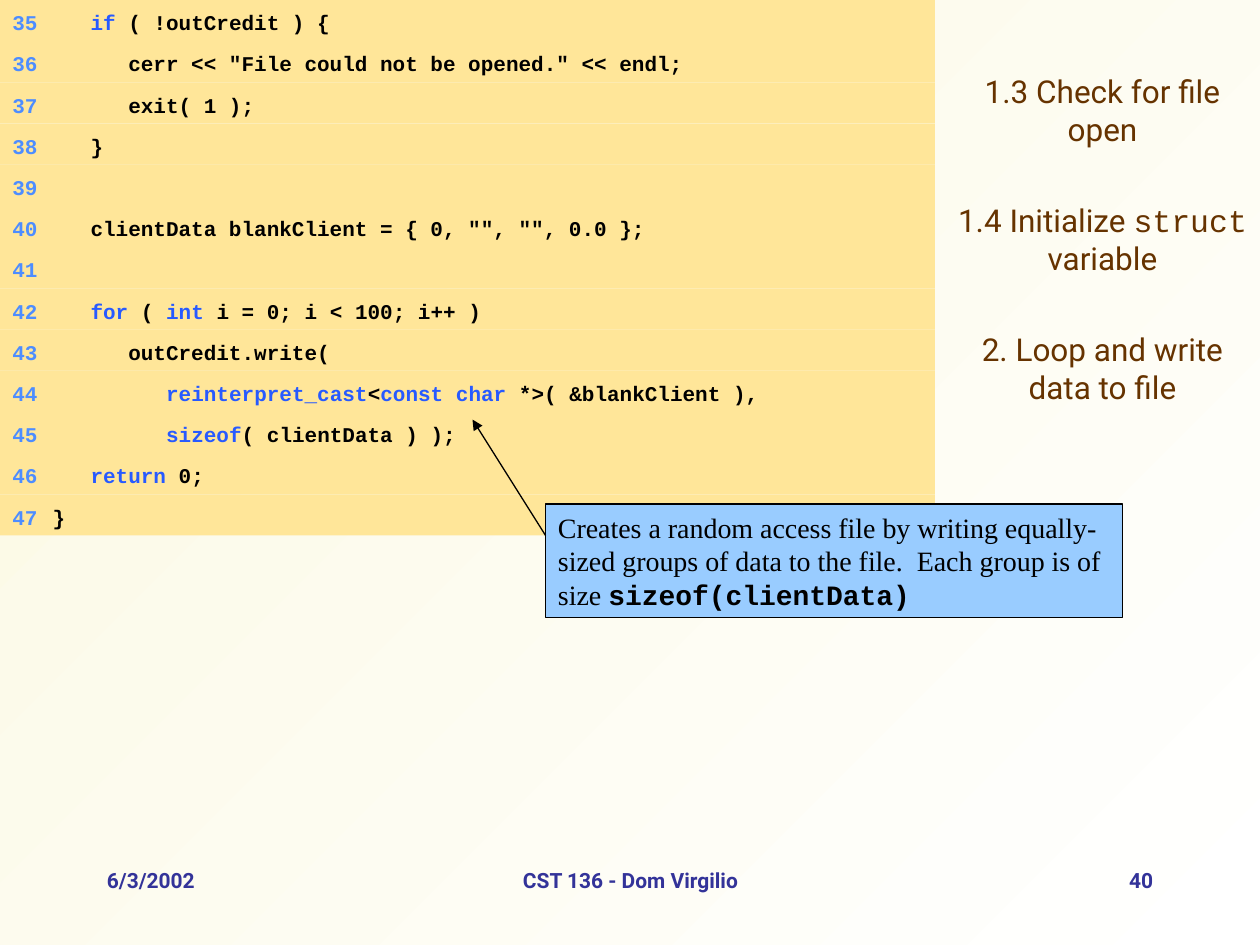
from pptx import Presentation, util as u
from pptx.dml.color import RGBColor
from pptx.enum import shapes, text
from pptx.oxml.ns import qn
from lxml import etree

MONO, SANS, SERIF = "Courier New", "Roboto", "Times New Roman"
AL = text.PP_ALIGN


def hue(code):
    return RGBColor.from_string(code)


def add_run(para, words, face, size, code, bold=False):
    run = para.add_run()
    run.text = words
    run.font.name, run.font.size, run.font.bold = face, u.Pt(size), bold
    run.font.color.rgb = hue(code)


deck = Presentation()
deck.slide_width, deck.slide_height = u.Inches(10), u.Inches(7.5)
W, H = deck.slide_width, deck.slide_height
slide = deck.slides.add_slide(deck.slide_layouts[0])
title = slide.shapes.title
title.element.getparent().remove(title.element)

# Background
fill = slide.background.fill
fill.gradient()
fill.gradient_angle = 135
for stop, code in zip(fill.gradient_stops, ("FFFFFF", "FBF8E1")):
    stop.color.rgb = hue(code)

# Side notes
side = slide.placeholders[1]
side.left, side.top, side.width, side.height = int(W * 0.75), 0, int(W * 0.25), u.Inches(3.92)
frame = side.text_frame
frame.margin_top = u.Inches(0.57)
frame.vertical_anchor = text.MSO_ANCHOR.TOP
frame.auto_size = text.MSO_AUTO_SIZE.NONE
notes = [
    [("1.3 Check for file open", SANS)],
    [("1.4 Initialize ", SANS), ("struct ", MONO), ("variable", SANS)],
    [("2. Loop and write data to file", SANS)],
]
for i, note in enumerate(notes):
    para = frame.add_paragraph() if i else frame.paragraphs[0]
    para.alignment = AL.CENTER
    para.space_before = u.Pt(30.5 if i else 0)
    for words, face in note:
        add_run(para, words, face, 18, "663300")

# Code listing, one bar a line; keywords stand between backticks
code_lines = [
    "   `if` ( !outCredit ) {",
    '      cerr << "File could not be opened." << endl;',
    "      exit( 1 );",
    "   }",
    "",
    '   clientData blankClient = { 0, "", "", 0.0 };',
    "",
    "   `for` ( `int` i = 0; i < 100; i++ )",
    "      outCredit.write(",
    "         `reinterpret_cast`<`const char` *>( &blankClient ),",
    "         `sizeof`( clientData ) );",
    "   `return` 0;",
    "}",
]
row = u.Inches(4.25) / len(code_lines)
for i, line in enumerate(code_lines):
    bar = slide.shapes.add_shape(shapes.MSO_SHAPE.RECTANGLE, 0, int(i * row), u.Inches(7.42), int(row))
    bar.shadow.inherit = False
    bar.fill.solid()
    bar.fill.fore_color.rgb = hue("FFE699")
    bar.line.fill.background()
    bar.text_frame.vertical_anchor = text.MSO_ANCHOR.BOTTOM
    para = bar.text_frame.paragraphs[0]
    para.alignment = AL.LEFT
    tabs = etree.SubElement(para._p.get_or_add_pPr(), qn("a:tabLst"))
    for spot, side_al in ((0, "l"), (0.15, "r"), (0.32, "l")):
        etree.SubElement(tabs, qn("a:tab"), pos=str(u.Inches(spot)), algn=side_al)
    add_run(para, f"\t{35 + i}\t", MONO, 12, "4D8DFF", True)
    for k, part in enumerate(line.split("`")):
        if part:
            add_run(para, part, MONO, 12, "275AFF" if k % 2 else "000000", True)

# Callout box
box = slide.shapes.add_shape(
    shapes.MSO_SHAPE.RECTANGLE, u.Inches(4.33), u.Inches(4), u.Inches(4.58), u.Inches(0.9))
box.shadow.inherit = False
box.fill.solid()
box.fill.fore_color.rgb = hue("99CCFF")
box.text_frame.vertical_anchor = text.MSO_ANCHOR.TOP
para = box.text_frame.paragraphs[0]
para.alignment = AL.LEFT
add_run(para, "Creates a random access file by writing equally-sized groups of data to the file.  "
        "Each group is of size ", SERIF, 16, "000000")
add_run(para, "sizeof(clientData)", MONO, 16, "000000", True)

# Arrow from the callout to the code
arrow = slide.shapes.add_connector(
    shapes.MSO_CONNECTOR.STRAIGHT, u.Inches(4.33), u.Inches(4.25), u.Inches(3.75), u.Inches(3.33))
for item in (box, arrow):
    item.line.color.rgb = hue("000000")
    item.line.width = u.Pt(0.75)
etree.SubElement(arrow.line._get_or_add_ln(), qn("a:tailEnd"), type="triangle")
etree.SubElement(arrow._element.spPr, qn("a:effectLst"))

# Footer
for words, left, width, align in (
    ("6/3/2002", 0.75, 2.08, AL.LEFT),
    ("CST 136 - Dom Virgilio", 3.42, 3.17, AL.CENTER),
    ("40", 7.17, 2.08, AL.RIGHT),
):
    foot = slide.shapes.add_textbox(u.Inches(left), int(H * 0.911), u.Inches(width), u.Inches(0.5))
    foot.text_frame.word_wrap = True
    para = foot.text_frame.paragraphs[0]
    para.alignment = align
    add_run(para, words, SANS, 12, "333399", True)

deck.save("out.pptx")
